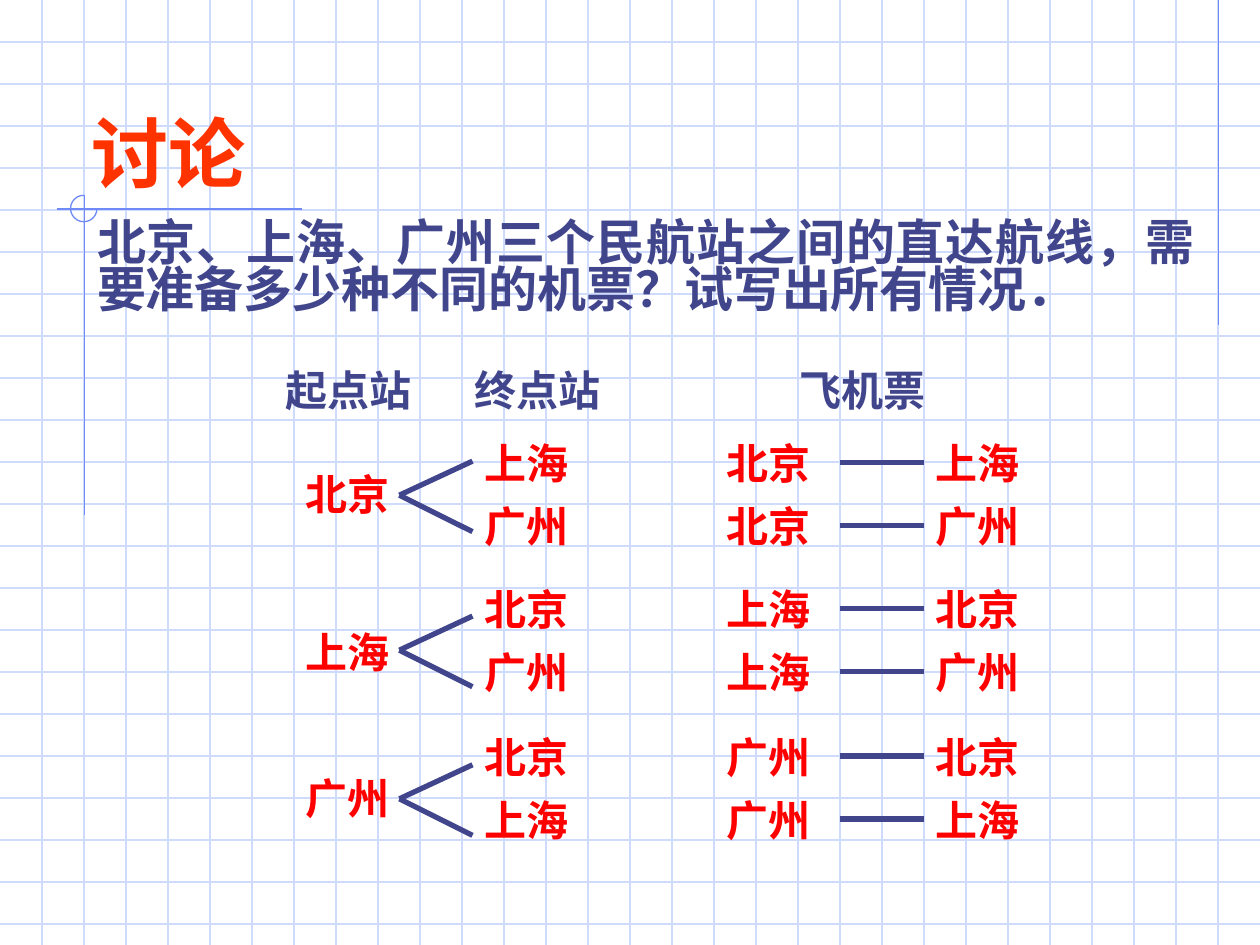
import dataclasses

import lxml.etree
import pptx
import pptx.dml.color
import pptx.enum.shapes
import pptx.enum.text
import pptx.oxml.ns
import pptx.slide
import pptx.text.text
import pptx.util

Inches = pptx.util.Inches
Pt = pptx.util.Pt
Align = pptx.enum.text.PP_ALIGN
Anchor = pptx.enum.text.MSO_ANCHOR
AutoSize = pptx.enum.text.MSO_AUTO_SIZE

WIDTH, HEIGHT = 10, 7.5
GRID = "CFDBFD"
ACCENT = "6F89F7"
INK = "40458C"
RED = "FF0000"
ORANGE = "FF3300"
LATIN = "Times New Roman"
CHINESE = "Noto Sans CJK SC"


@dataclasses.dataclass
class Departure:
    origin: str
    destinations: tuple[str, str]
    origin_top: float
    first_top: float
    fork: float


@dataclasses.dataclass
class Heading:
    text: str
    left: float


DEPARTURES = [
    Departure("北京", ("上海", "广州"), 3.75, 3.5, 3.93),
    Departure("上海", ("北京", "广州"), 5, 4.66, 5.16),
    Departure("广州", ("北京", "上海"), 6.16, 5.83, 6.34),
]
HEADINGS = [Heading("起点站", 2.17), Heading("终点站", 3.67), Heading("飞机票", 6.25)]


def color(value: str) -> pptx.dml.color.RGBColor:
    return pptx.dml.color.RGBColor.from_string(value)


def add_line(slide: pptx.slide.Slide, start: tuple[float, float],
             end: tuple[float, float], line_color: str, width: float) -> None:
    connector = slide.shapes.add_connector(
        pptx.enum.shapes.MSO_CONNECTOR.STRAIGHT,
        Inches(start[0]), Inches(start[1]), Inches(end[0]), Inches(end[1]))
    connector.line.color.rgb = color(line_color)
    connector.line.width = Pt(width)
    properties = connector._element.spPr
    lxml.etree.SubElement(properties, pptx.oxml.ns.qn("a:effectLst"))


def write(frame: pptx.text.text.TextFrame, text: str, size: float, text_color: str,
          latin: str = LATIN, spacing: float = 0.8, alignment: Align = Align.LEFT) -> None:
    frame.word_wrap = True
    paragraph = frame.paragraphs[0]
    paragraph.alignment = alignment
    paragraph.line_spacing = spacing
    paragraph.space_before = Pt(0)
    run = paragraph.add_run()
    run.text = text
    run.font.size = Pt(size)
    run.font.bold = True
    run.font.name = latin
    run.font.color.rgb = color(text_color)
    east_asian = lxml.etree.SubElement(run._r.get_or_add_rPr(), pptx.oxml.ns.qn("a:ea"))
    east_asian.set("typeface", CHINESE)


def add_label(slide: pptx.slide.Slide, text: str, left: float, top: float,
              width: float, text_color: str) -> None:
    box = slide.shapes.add_textbox(Inches(left), Inches(top), Inches(width), Inches(0.42))
    box.text_frame.auto_size = AutoSize.SHAPE_TO_FIT_TEXT
    write(box.text_frame, text, 24, text_color)


def place(shape, left: float, top: float, width: float, height: float) -> None:
    shape.left, shape.top = Inches(left), Inches(top)
    shape.width, shape.height = Inches(width), Inches(height)
    shape.text_frame.auto_size = AutoSize.NONE
    shape.element.getparent().append(shape.element)


def draw_background(slide: pptx.slide.Slide) -> None:
    for row in range(1, 23):
        add_line(slide, (0, row / 3), (WIDTH, row / 3), GRID, 0.75)
    for column in range(1, 30):
        add_line(slide, (column / 3, 0), (column / 3, HEIGHT), GRID, 0.75)
    add_line(slide, (9.67, 0), (9.67, 2.58), ACCENT, 0.75)
    add_line(slide, (2.4, 1.66), (0.45, 1.66), ACCENT, 0.75)
    add_line(slide, (0.67, 1.55), (0.67, 4.09), ACCENT, 0.75)
    arc = slide.shapes.add_shape(pptx.enum.shapes.MSO_SHAPE.ARC, Inches(0.56),
                                 Inches(1.55), Inches(0.21), Inches(0.21))
    arc.adjustments[0] = 0
    arc.adjustments[1] = 162
    arc.shadow.inherit = False
    arc.fill.background()
    arc.line.color.rgb = color(ACCENT)
    arc.line.width = Pt(0.75)


def draw_departure(slide: pptx.slide.Slide, departure: Departure) -> None:
    add_label(slide, departure.origin, 2.33, departure.origin_top, 1, RED)
    for index, destination in enumerate(departure.destinations):
        top = departure.first_top + index * 0.5
        fork_end = departure.fork + (-0.27, 0.29)[index]
        add_line(slide, (3.17, departure.fork), (3.75, fork_end), INK, 3)
        add_label(slide, destination, 3.75, top, 1, RED)
        add_label(slide, departure.origin, 5.67, top, 1, RED)
        add_line(slide, (6.67, top + 0.17), (7.33, top + 0.17), INK, 3)
        add_label(slide, destination, 7.33, top, 1, RED)


def main() -> None:
    presentation = pptx.Presentation()
    presentation.slide_width = Inches(WIDTH)
    presentation.slide_height = Inches(HEIGHT)
    slide = presentation.slides.add_slide(presentation.slide_layouts[1])
    title, body = slide.shapes.title, slide.placeholders[1]

    draw_background(slide)

    place(body, 0.67, 1.72, 8.92, 0.85)
    body.text_frame.vertical_anchor = Anchor.TOP
    properties = body.text_frame.paragraphs[0]._p.get_or_add_pPr()
    properties.set("marL", "0")
    properties.set("indent", "0")
    lxml.etree.SubElement(properties, pptx.oxml.ns.qn("a:buNone"))
    write(body.text_frame,
          "北京、上海、广州三个民航站之间的直达航线，需要准备多少种不同的机票？试写出所有情况．",
          28, INK, latin=CHINESE, alignment=Align.JUSTIFY)

    for heading in HEADINGS:
        add_label(slide, heading.text, heading.left, 2.92, 1.25, INK)
    for departure in DEPARTURES:
        draw_departure(slide, departure)

    place(title, -0.12, 0.87, 2.92, 0.75)
    title.text_frame.vertical_anchor = Anchor.BOTTOM
    write(title.text_frame, "讨论", 44, ORANGE, spacing=1.0, alignment=Align.CENTER)

    presentation.save("out.pptx")


if __name__ == "__main__":
    main()
